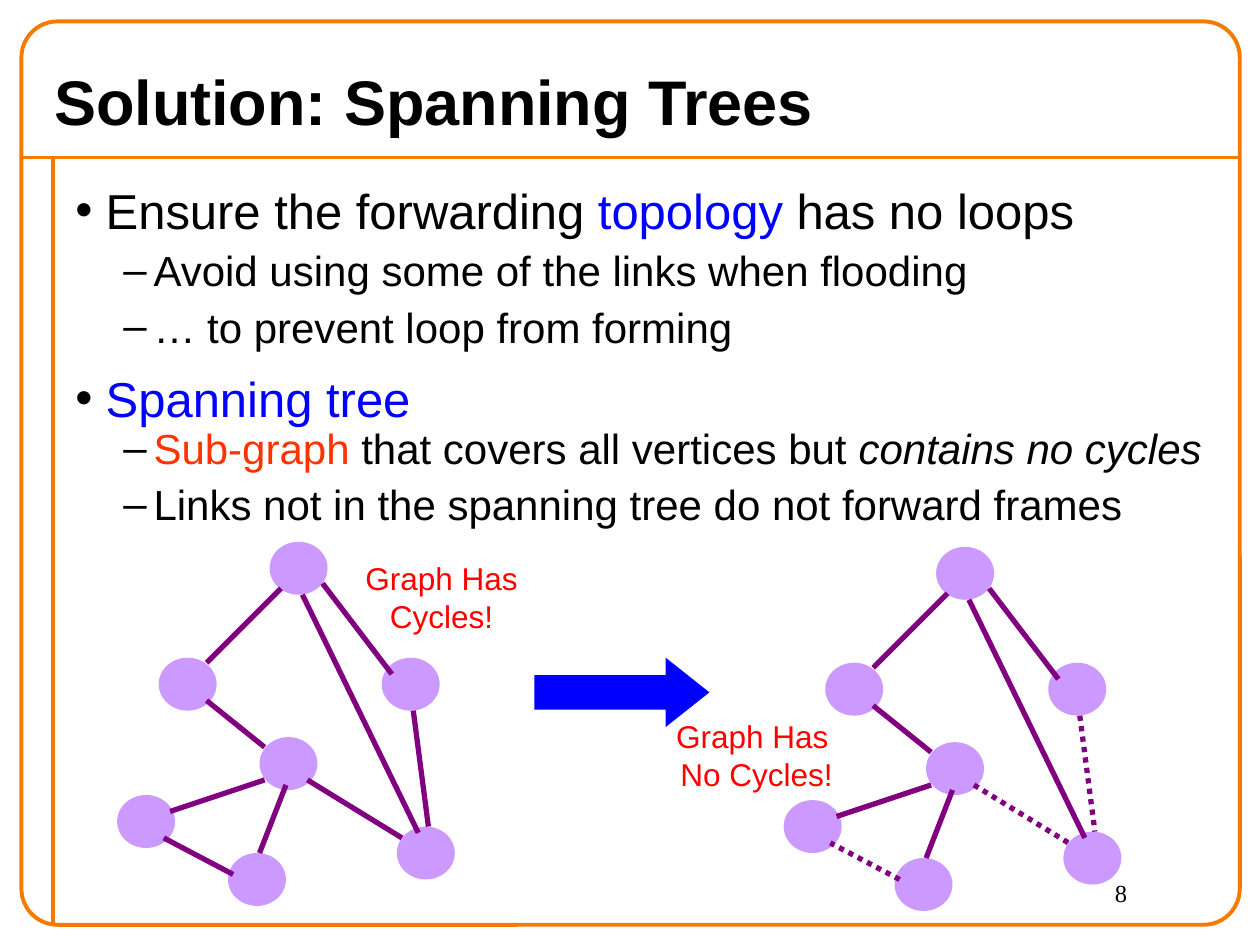
from dataclasses import dataclass
from typing import NamedTuple

import pptx
import pptx.dml.color
import pptx.enum.dml
import pptx.enum.shapes
import pptx.enum.text
import pptx.oxml
import pptx.oxml.ns
import pptx.util

RGB = pptx.dml.color.RGBColor
BLACK = RGB(0x00, 0x00, 0x00)
BLUE = RGB(0x00, 0x00, 0xFF)
RED = RGB(0xFF, 0x00, 0x00)
VERMILION = RGB(0xFF, 0x33, 0x00)
ORANGE = RGB(0xF4, 0x7A, 0x00)
LILAC = RGB(0xCC, 0x99, 0xFF)
PURPLE = RGB(0x80, 0x00, 0x80)

SHAPE = pptx.enum.shapes.MSO_SHAPE
ALIGN = pptx.enum.text.PP_ALIGN
ANCHOR = pptx.enum.text.MSO_ANCHOR
COLUMNS, ROWS = 1000, 750
NODE_SIZE = (46, 42)

presentation = pptx.Presentation()
presentation.slide_width = pptx.util.Inches(10)
presentation.slide_height = pptx.util.Inches(7.5)
CELL_WIDTH = presentation.slide_width // COLUMNS
CELL_HEIGHT = presentation.slide_height // ROWS


class Box(NamedTuple):
    column: float
    row: float
    columns: float
    rows: float


class Span(NamedTuple):
    text: str
    color: RGB = BLACK
    italic: bool = False


class Link(NamedTuple):
    start: tuple
    end: tuple
    in_tree: bool = True


@dataclass
class Bullet:
    spans: list[Span]
    level: int = 0
    space_before: float = 3.4
    line_spacing: float = 1.0


BULLETS = [
    Bullet([Span("Ensure the forwarding "), Span("topology", BLUE), Span(" has no loops")],
           space_before=0),
    Bullet([Span("Avoid using some of the links when flooding")], 1),
    Bullet([Span("… to prevent loop from forming")], 1),
    Bullet([Span("Spanning tree", BLUE)], space_before=16, line_spacing=0.8),
    Bullet([Span("Sub-graph", VERMILION), Span(" that covers all vertices but "),
            Span("contains no cycles", italic=True)], 1, line_spacing=0.8),
    Bullet([Span("Links not in the spanning tree do not forward frames")], 1),
]
LEVELS = [("•", 28, 0.24), ("–", 24, 0.62)]
HANGING = 0.24

NODES = [(121, 0), (33, 92), (210, 92), (113, 155), (222, 226), (0, 201), (88, 247)]
LINKS = [
    Link((130, 37), (71, 96)),
    Link((163, 33), (218, 105)),
    Link((71, 126), (117, 163)),
    Link((151, 189), (226, 235), False),
    Link((235, 134), (247, 226), False),
    Link((147, 42), (239, 231)),
    Link((42, 214), (117, 189)),
    Link((113, 247), (134, 193)),
    Link((92, 264), (37, 235), False),
]


def place(box: Box) -> tuple:
    return (int(box.column * CELL_WIDTH), int(box.row * CELL_HEIGHT),
            int(box.columns * CELL_WIDTH), int(box.rows * CELL_HEIGHT))


def style(run, size: float, color: RGB, font: str = "Arial") -> None:
    run.font.name = font
    run.font.size = pptx.util.Pt(size)
    run.font.color.rgb = color


def draw_shape(shapes, kind, box: Box, fill: RGB):
    shape = shapes.add_shape(kind, *place(box))
    shape.shadow.inherit = False
    shape.fill.solid()
    shape.fill.fore_color.rgb = fill
    shape.line.fill.background()
    return shape


def draw_line(shapes, start: tuple, end: tuple, color: RGB, width: float):
    line = shapes.add_connector(
        pptx.enum.shapes.MSO_CONNECTOR.STRAIGHT,
        int(start[0] * CELL_WIDTH), int(start[1] * CELL_HEIGHT),
        int(end[0] * CELL_WIDTH), int(end[1] * CELL_HEIGHT))
    line.line.color.rgb = color
    line.line.width = pptx.util.Pt(width)
    pptx.oxml.ns.qn("a:effectLst")
    line._element.spPr.append(
        pptx.oxml.parse_xml(f"<a:effectLst {pptx.oxml.ns.nsdecls('a')}/>"))
    return line


def draw_text(shapes, box: Box, text: str, size: float, color: RGB,
              font: str = "Arial", align=ALIGN.LEFT) -> None:
    frame = shapes.add_textbox(*place(box)).text_frame
    frame.word_wrap = True
    paragraph = frame.paragraphs[0]
    paragraph.text = text
    paragraph.alignment = align
    for run in paragraph.runs:
        style(run, size, color, font)


def draw_bullets(shapes, box: Box, bullets: list[Bullet]) -> None:
    frame = shapes.add_textbox(*place(box)).text_frame
    frame.word_wrap = True
    for index, bullet in enumerate(bullets):
        paragraph = frame.add_paragraph() if index else frame.paragraphs[0]
        mark, size, indent = LEVELS[bullet.level]
        paragraph.level = bullet.level
        paragraph.space_before = pptx.util.Pt(bullet.space_before)
        paragraph.line_spacing = bullet.line_spacing
        properties = paragraph._p.get_or_add_pPr()
        properties.set("marL", str(pptx.util.Inches(indent)))
        properties.set("indent", str(-pptx.util.Inches(HANGING)))
        names = pptx.oxml.ns.nsdecls("a")
        for xml in (f'<a:buClr {names}><a:srgbClr val="{BLACK}"/></a:buClr>',
                    f'<a:buFont {names} typeface="Arial"/>',
                    f'<a:buChar {names} char="{mark}"/>'):
            properties.append(pptx.oxml.parse_xml(xml))
        for span in bullet.spans:
            run = paragraph.add_run()
            run.text = span.text
            style(run, size, span.color)
            run.font.italic = span.italic


def draw_graph(shapes, column: float, row: float, tree_only: bool) -> None:
    graph = shapes.add_group_shape().shapes
    for x, y in NODES:
        draw_shape(graph, SHAPE.OVAL, Box(column + x, row + y, *NODE_SIZE), LILAC)
    for link in LINKS:
        (x1, y1), (x2, y2) = link.start, link.end
        edge = draw_line(graph, (column + x1, row + y1), (column + x2, row + y2), PURPLE, 3)
        if tree_only and not link.in_tree:
            edge.line.dash_style = pptx.enum.dml.MSO_LINE.ROUND_DOT


def main() -> None:
    slide = presentation.slides.add_slide(presentation.slide_layouts[5])
    shapes = slide.shapes

    title = shapes.title
    title.left, title.top, title.width, title.height = place(Box(33, 42, 942, 75))
    title.text_frame.text = "Solution: Spanning Trees"
    title.text_frame.vertical_anchor = ANCHOR.MIDDLE
    heading = title.text_frame.paragraphs[0]
    heading.alignment = ALIGN.LEFT
    style(heading.runs[0], 36, BLACK)
    heading.runs[0].font.bold = True

    draw_line(shapes, (17, 125), (983, 125), ORANGE, 2.25)
    draw_line(shapes, (42, 125), (42, 733), ORANGE, 2.25)
    border = draw_shape(shapes, SHAPE.ROUNDED_RECTANGLE, Box(17, 17, 967, 717), ORANGE)
    border.adjustments[0] = 0.04
    border.fill.background()
    border.line.color.rgb = ORANGE
    border.line.width = pptx.util.Pt(2.25)

    draw_text(shapes, Box(875, 692, 100, 42), "8", 14, BLACK, "Times New Roman")
    draw_bullets(shapes, Box(50, 138, 925, 300), BULLETS)

    draw_graph(shapes, 93, 430, tree_only=False)
    arrow = draw_shape(shapes, SHAPE.RIGHT_ARROW, Box(424, 522, 139, 55), BLUE)
    arrow.adjustments[1] = 0.63
    draw_graph(shapes, 622, 434, tree_only=True)

    for column, row, caption in ((242, 439, "Graph Has Cycles!"),
                                 (492, 564, "Graph Has \vNo Cycles!")):
        draw_text(shapes, Box(column, row, 217, 77), caption, 18, RED, align=ALIGN.CENTER)

    presentation.save("out.pptx")


if __name__ == "__main__":
    main()
